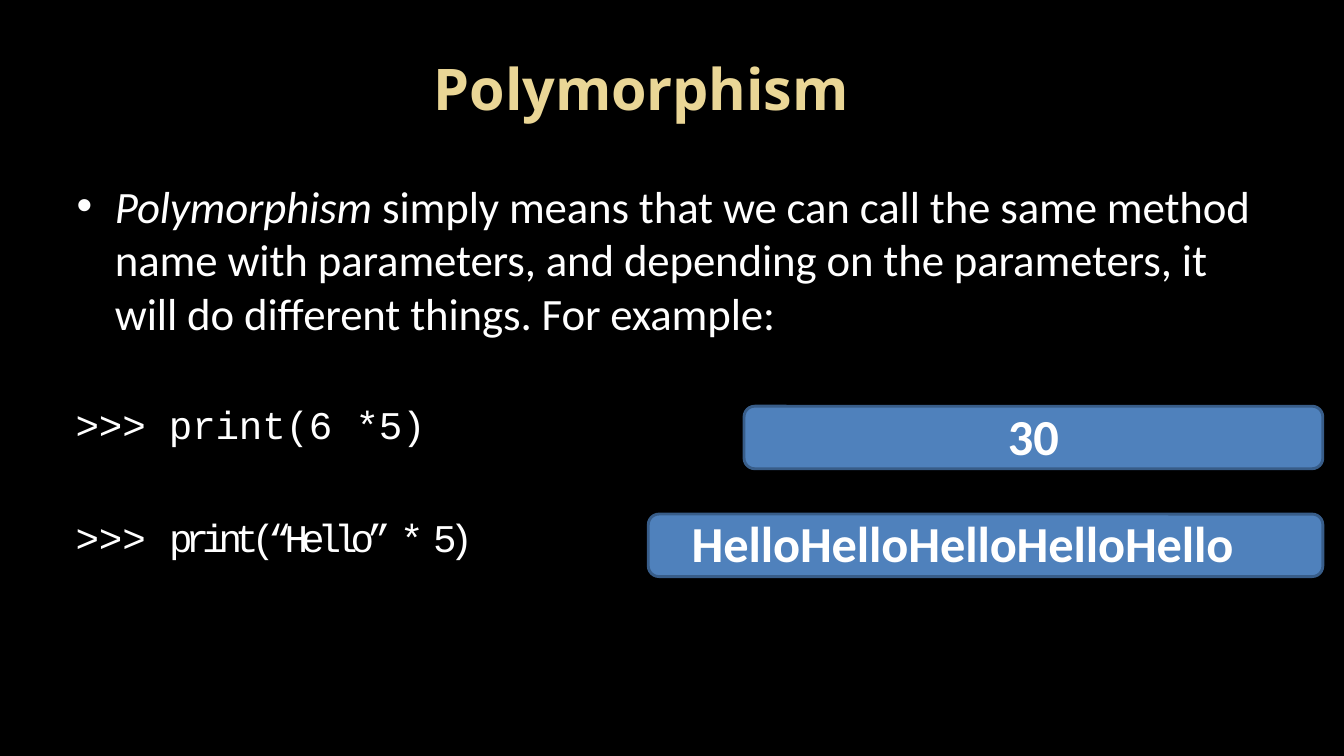
from pptx import Presentation
from pptx.dml.color import RGBColor
from pptx.enum.shapes import MSO_SHAPE as SHAPE
from pptx.enum.text import MSO_ANCHOR as ANCHOR, PP_ALIGN as ALIGN
from pptx.oxml.ns import qn
from pptx.util import Inches, Pt
from lxml import etree

COLORS = {"background": "000000", "title": "EAD696", "text": "FFFFFF",
          "answer": "4F81BC", "outline": "385D89"}


def color(name):
    return RGBColor.from_string(COLORS[name])


def format_run(r, font, size, fill="text", bold=False, italic=False, spacing=-0.1):
    r.font.name = font
    r.font.size = Pt(size)
    r.font.bold = bold
    r.font.italic = italic
    r.font.color.rgb = color(fill)
    r._r.get_or_add_rPr().set("spc", str(round(spacing * 100)))


def set_frame(tf, left=0, bottom=0, anchor=ANCHOR.TOP):
    tf.word_wrap = True
    tf.margin_left = Inches(left)
    tf.margin_right = 0
    tf.margin_top = Inches(0.01)
    tf.margin_bottom = Inches(bottom)
    tf.vertical_anchor = anchor


def add_title(s, text):
    sp = s.shapes.title
    sp.left, sp.top = Inches(4.25), Inches(0.51)
    sp.width, sp.height = Inches(4.22), Inches(0.7)
    tf = sp.text_frame
    set_frame(tf, anchor=ANCHOR.MIDDLE)
    tf.text = text
    p = tf.paragraphs[0]
    p.alignment = ALIGN.CENTER
    p.space_before = Pt(1.1)
    format_run(p.runs[0], "Noto Sans", 41, "title", bold=True)


def add_text(s, top, width, height, parts):
    """Add one paragraph; parts holds pairs of text and run format."""
    sp = s.shapes.add_textbox(Inches(0.75), Inches(top), Inches(width), Inches(height))
    set_frame(sp.text_frame)
    p = sp.text_frame.paragraphs[0]
    p.space_before = Pt(1)
    for text, style in parts:
        r = p.add_run()
        r.text = text
        format_run(r, **style)
    return p


def add_bullet(p):
    pPr = p._p.get_or_add_pPr()
    pPr.set("marL", str(Inches(0.39)))
    pPr.set("indent", str(Inches(-0.38)))
    etree.SubElement(pPr, qn("a:buFont")).set("typeface", "Arial")
    etree.SubElement(pPr, qn("a:buChar")).set("char", "•")


def add_answer(s, left, top, text, align, inset=0):
    right, height = 13.12, 0.62
    sp = s.shapes.add_shape(SHAPE.ROUNDED_RECTANGLE, Inches(left), Inches(top),
                            Inches(right - left), Inches(height))
    sp.adjustments[0] = 0.17
    sp.shadow.inherit = False
    sp.fill.solid()
    sp.fill.fore_color.rgb = color("answer")
    sp.line.color.rgb = color("outline")
    sp.line.width = Pt(2.04)
    tf = sp.text_frame
    set_frame(tf, left=inset, bottom=0.06, anchor=ANCHOR.MIDDLE)
    tf.text = text
    p = tf.paragraphs[0]
    p.alignment = align
    format_run(p.runs[0], "Calibri", 36, bold=True)


def main():
    prs = Presentation()
    prs.slide_width, prs.slide_height = Inches(13.33), Inches(7.5)
    s = prs.slides.add_slide(prs.slide_layouts[5])
    s.background.fill.solid()
    s.background.fill.fore_color.rgb = color("background")

    add_title(s, "Polymorphism")

    # Definition
    body = {"font": "Calibri", "size": 32}
    definition = add_text(s, 1.76, 11.75, 1.63, [
        ("Polymorphism ", {**body, "italic": True}),
        ("simply means that we can call the same method  name with parameters, "
         "and depending on the parameters, it will do different things. "
         "For example:", body)])
    add_bullet(definition)

    # Code examples
    code = {"font": "Courier New", "size": 28}
    add_text(s, 3.96, 6.08, 0.49, [(">>> print(6 *5)", code)])
    add_text(s, 5.08, 6.05, 0.49, [
        (">>> ", code), ("print(“Hello” * 5)", {**code, "spacing": -5})])

    # Results
    add_answer(s, 7.38, 4.03, "30", ALIGN.CENTER)
    add_answer(s, 6.43, 5.1, "HelloHelloHelloHelloHello", ALIGN.LEFT, inset=0.4)

    prs.save("out.pptx")


if __name__ == "__main__":
    main()
